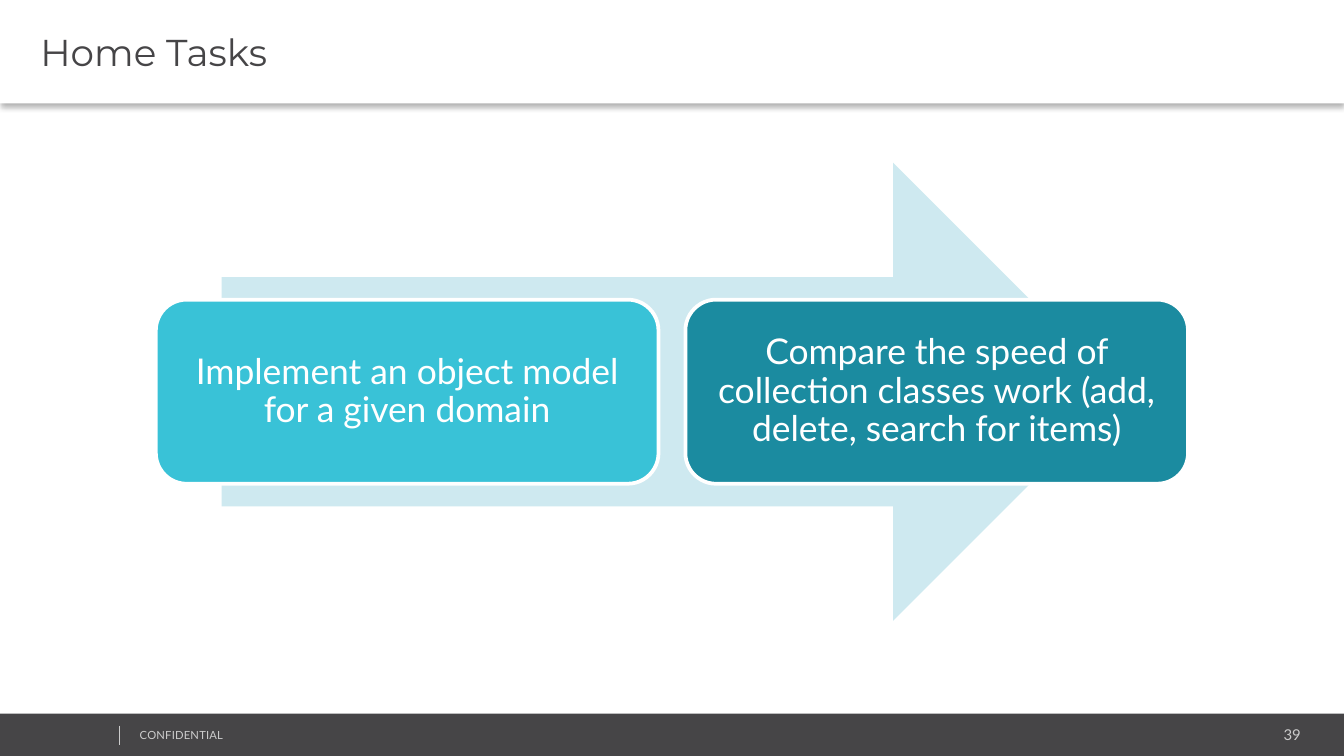
from lxml import etree
from pptx import Presentation
from pptx.dml.color import RGBColor
from pptx.enum.shapes import MSO_CONNECTOR, MSO_SHAPE
from pptx.enum.text import MSO_ANCHOR, MSO_AUTO_SIZE, PP_ALIGN
from pptx.oxml import parse_xml
from pptx.oxml.ns import nsdecls, qn
from pptx.util import Inches, Pt

WHITE = RGBColor(0xFF, 0xFF, 0xFF)
DARK = RGBColor(0x46, 0x45, 0x47)
GREY = RGBColor(0xCC, 0xCC, 0xCC)
PALE = RGBColor(0xCE, 0xE9, 0xF0)
CYAN = RGBColor(0x39, 0xC2, 0xD7)
TEAL = RGBColor(0x1B, 0x8B, 0xA0)
WIDTH = 10
HEIGHT = WIDTH * 9 / 16
TASKS = [
    ("Implement an object model for a given domain", CYAN),
    ("Compare the speed of collection classes work (add, delete, search for items)", TEAL),
]


def put_text(shape, text, size, color, font="Lato", align=PP_ALIGN.LEFT,
             anchor=MSO_ANCHOR.TOP, margins=(0.07, 0.04, 0.07, 0.04),
             line_spacing=None, char_spacing=None):
    """Write one formatted paragraph into a shape."""
    tf = shape.text_frame
    tf.word_wrap = True
    tf.auto_size = MSO_AUTO_SIZE.NONE
    tf.vertical_anchor = anchor
    tf.margin_left, tf.margin_top, tf.margin_right, tf.margin_bottom = map(Inches, margins)
    p = tf.paragraphs[0]
    p.alignment = align
    p.line_spacing = line_spacing
    r = p.add_run()
    r.text = text
    r.font.name, r.font.size = font, Pt(size)
    r.font.color.rgb = color
    if char_spacing:
        r.font._element.set("spc", str(int(char_spacing * 100)))


def add_block(s, kind, x, y, w, h, fill, line=None):
    """Add a flat filled shape with an optional outline colour."""
    sp = s.shapes.add_shape(kind, Inches(x), Inches(y), Inches(w), Inches(h))
    sp.shadow.inherit = False
    sp.fill.solid()
    sp.fill.fore_color.rgb = fill
    if line is None:
        sp.line.fill.background()
    else:
        sp.line.color.rgb = line
        sp.line.width = Pt(2)
    return sp


def add_label(s, text, x, y, w, h, size, **fmt):
    """Add a small grey footer label."""
    sp = s.shapes.add_textbox(Inches(x), Inches(y), Inches(w), Inches(h))
    put_text(sp, text, size, GREY, **fmt)


def add_footer(s):
    """Draw the footer bar with its number, label and divider."""
    add_block(s, MSO_SHAPE.RECTANGLE, 0, 5.31, 10.01, 0.33, DARK)
    add_label(s, "39", 8.12, 5.36, 1.63, 0.21, 8, align=PP_ALIGN.RIGHT)
    add_label(s, "CONFIDENTIAL", 0.97, 5.38, 2.53, 0.18, 6, char_spacing=0.1)
    cn = s.shapes.add_connector(MSO_CONNECTOR.STRAIGHT, Inches(0.89), Inches(5.4),
                                Inches(0.89), Inches(5.54))
    cn.line.color.rgb = GREY
    cn.line.width = Pt(0.25)
    etree.SubElement(cn._element.spPr, qn("a:effectLst"))


def add_title(s, text):
    """Place the title placeholder as a white header band with a shadow."""
    sp = s.shapes.title
    sp.left, sp.top, sp.width, sp.height = map(Inches, (0, 0, WIDTH, 0.77))
    sp.fill.solid()
    sp.fill.fore_color.rgb = WHITE
    sp._element.spPr.append(parse_xml(
        f'<a:effectLst {nsdecls("a")}><a:outerShdw blurRad="{Pt(3.1)}" dist="{Pt(2)}" '
        'dir="5400000" algn="t" rotWithShape="0"><a:srgbClr val="000000">'
        '<a:alpha val="30000"/></a:srgbClr></a:outerShdw></a:effectLst>'))
    put_text(sp, text, 20, DARK, font="Montserrat", anchor=MSO_ANCHOR.MIDDLE,
             margins=(0.3, 0.04, 0.07, 0.04))


def add_tasks(s):
    """Draw the arrow and the row of task cards over it."""
    add_block(s, MSO_SHAPE.RIGHT_ARROW, 1.65, 1.21, 6.7, 3.41, PALE)
    for i, (text, fill) in enumerate(TASKS):
        card = add_block(s, MSO_SHAPE.ROUNDED_RECTANGLE, 1.16 + 3.94 * i, 2.23,
                         3.74, 1.37, fill, WHITE)
        put_text(card, text, 19, WHITE, align=PP_ALIGN.CENTER, anchor=MSO_ANCHOR.MIDDLE,
                 margins=(0.08,) * 4, line_spacing=0.9)


def main():
    """Build the slide and save it."""
    prs = Presentation()
    prs.slide_width, prs.slide_height = Inches(WIDTH), Inches(HEIGHT)
    s = prs.slides.add_slide(prs.slide_layouts[5])
    add_footer(s)
    add_title(s, "Home Tasks")
    add_tasks(s)
    prs.save("out.pptx")


if __name__ == "__main__":
    main()
